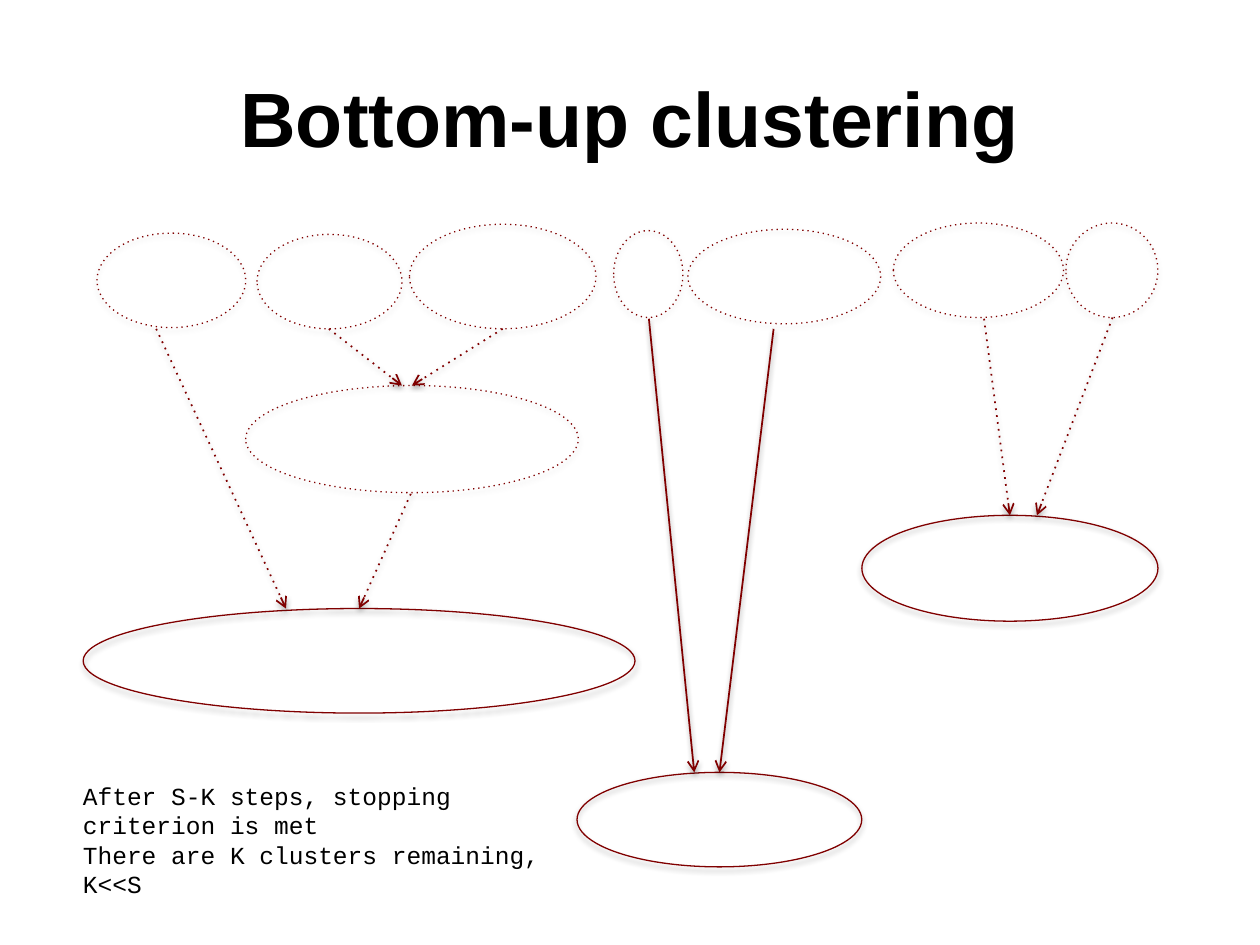
from lxml import etree
from pptx import Presentation
from pptx.dml.color import RGBColor
from pptx.enum.shapes import MSO_CONNECTOR, MSO_SHAPE
from pptx.enum.text import MSO_ANCHOR, PP_ALIGN
from pptx.oxml.ns import qn
from pptx.util import Inches, Pt

ELLIPSE = MSO_SHAPE.OVAL
STRAIGHT = MSO_CONNECTOR.STRAIGHT
CENTER, LEFT = PP_ALIGN.CENTER, PP_ALIGN.LEFT
MIDDLE, TOP = MSO_ANCHOR.MIDDLE, MSO_ANCHOR.TOP
TOP_SITE = 0

COLORS = {"text": "000000", "cluster": "800000", "shadow": "000000"}
FORMATS = {
    "title": {"name": "Arial", "size": Pt(44), "bold": True},
    "note": {"name": "Courier New", "size": Pt(14), "bold": False},
}
TITLE_ONLY = 5
COLUMNS, ROWS = 100, 75


class ClusterSlide:
    """Places elements on a grid of 100 columns and 75 rows."""

    def __init__(self, presentation):
        self.slide = presentation.slides.add_slide(
            presentation.slide_layouts[TITLE_ONLY])
        self.column = presentation.slide_width / COLUMNS
        self.row = presentation.slide_height / ROWS

    def place(self, x, y):
        return round(x * self.column), round(y * self.row)

    def box(self, left, top, width, height):
        return *self.place(left, top), *self.place(width, height)

    def fill_text(self, text_frame, lines, style, alignment, anchor):
        text_frame.word_wrap = True
        text_frame.vertical_anchor = anchor
        text_frame.text = "\n".join(lines)
        for paragraph in text_frame.paragraphs:
            paragraph.alignment = alignment
            for run in paragraph.runs:
                for attribute, value in FORMATS[style].items():
                    setattr(run.font, attribute, value)
                run.font.color.rgb = RGBColor.from_string(COLORS["text"])

    def title(self, text, area):
        shape = self.slide.shapes.title
        shape.left, shape.top, shape.width, shape.height = self.box(*area)
        self.fill_text(shape.text_frame, [text], "title", CENTER, MIDDLE)

    def note(self, lines, area):
        shape = self.slide.shapes.add_textbox(*self.box(*area))
        self.fill_text(shape.text_frame, lines, "note", LEFT, TOP)

    def outline(self, shape, width, dotted):
        shape.line.color.rgb = RGBColor.from_string(COLORS["cluster"])
        shape.line.width = Pt(width)
        line = shape._element.spPr.find(qn("a:ln"))
        if dotted:
            etree.SubElement(line, qn("a:prstDash"), val="dot")
        return line

    def shadow(self, shape, distance, opacity):
        effects = etree.SubElement(shape._element.spPr, qn("a:effectLst"))
        outer = etree.SubElement(
            effects, qn("a:outerShdw"), blurRad=str(Pt(3.1)),
            dist=str(Pt(distance)), dir="5400000", rotWithShape="0")
        color = etree.SubElement(outer, qn("a:srgbClr"), val=COLORS["shadow"])
        etree.SubElement(color, qn("a:alpha"), val=str(opacity * 1000))

    def cluster(self, area, dotted):
        shape = self.slide.shapes.add_shape(ELLIPSE, *self.box(*area))
        shape.fill.background()
        self.outline(shape, 0.75, dotted)
        self.shadow(shape, 1.8, 35)
        return shape

    def arrow(self, start, end, dotted, target=None):
        connector = self.slide.shapes.add_connector(
            STRAIGHT, *self.place(*start), *self.place(*end))
        if target is not None:
            connector.end_connect(target, TOP_SITE)
        line = self.outline(connector, 1, dotted)
        etree.SubElement(line, qn("a:tailEnd"), type="arrow")
        self.shadow(connector, 1.6, 38)


def main():
    presentation = Presentation()
    presentation.slide_width, presentation.slide_height = Inches(10), Inches(7.5)
    page = ClusterSlide(presentation)
    page.title("Bottom-up clustering", (5, 3, 90, 12.5))

    # Initial clusters, all merged away
    for area in (
        (7.7, 18.5, 11.8, 7.5), (20.4, 18.6, 11.5, 7.5),
        (32.5, 17.8, 14.8, 8.3), (48.7, 18.3, 5.5, 6.9),
        (54.6, 18.2, 15.3, 7.5), (70.9, 17.7, 13.5, 7.5),
        (84.6, 17.7, 7.3, 7.5),
    ):
        page.cluster(area, dotted=True)

    # Merged clusters: the solid ones remain
    pair = page.cluster((19.5, 30.6, 26.4, 8.5), dotted=True)
    left = page.cluster((6.6, 48.3, 43.8, 8.3), dotted=False)
    middle = page.cluster((45.8, 61.3, 22.6, 7.5), dotted=False)
    right = page.cluster((68.4, 40.9, 23.5, 8.4), dotted=False)

    # Merge steps: start, end, dotted, cluster joined at its top
    for step in (
        ((39.9, 26.1), (32.6, 30.6), True, pair),
        ((26.1, 26.1), (31.9, 30.6), True),
        ((32.6, 39.2), (28.5, 48.3), True, left),
        ((12.4, 26.1), (22.7, 48.3), True),
        ((78.1, 25.3), (80.2, 40.9), True, right),
        ((88.3, 25.2), (82.3, 40.9), True),
        ((61.4, 26.1), (57.1, 61.3), False, middle),
        ((51.5, 25.3), (55.1, 61.3), False),
    ):
        page.arrow(*step)

    # Stopping rule
    page.note(["After S-K steps, stopping criterion is met",
               "There are K clusters remaining, K<<S"],
              (5.6, 61.5, 38.4, 10.4))
    presentation.save("out.pptx")


if __name__ == "__main__":
    main()
